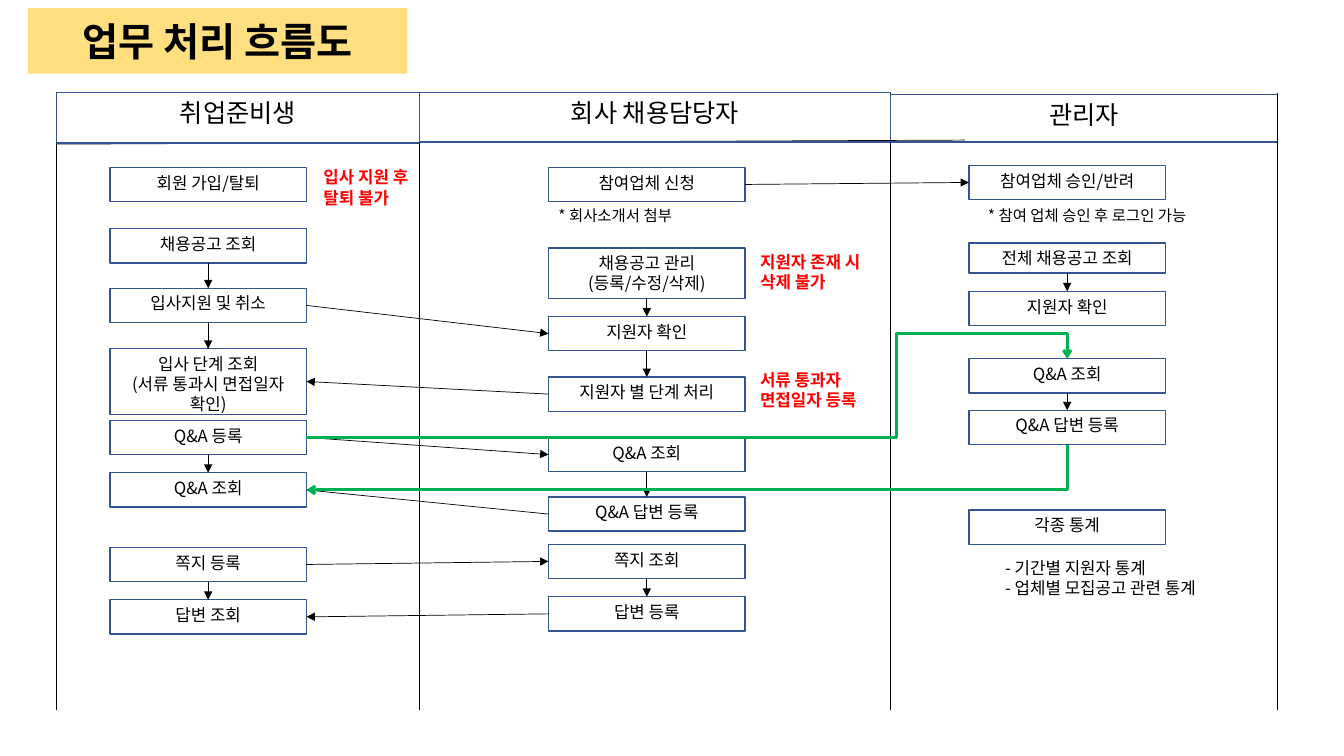
from pptx import Presentation
from pptx.dml.color import RGBColor
from pptx.enum.shapes import MSO_CONNECTOR, MSO_SHAPE
from pptx.enum.text import MSO_ANCHOR, MSO_AUTO_SIZE, PP_ALIGN
from pptx.oxml import parse_xml
from pptx.oxml.ns import nsdecls, qn
from pptx.util import Inches, Pt

RECT = MSO_SHAPE.RECTANGLE
STRAIGHT, ELBOW = MSO_CONNECTOR.STRAIGHT, MSO_CONNECTOR.ELBOW
CENTER, LEFT = PP_ALIGN.CENTER, PP_ALIGN.LEFT
TOP, MIDDLE = MSO_ANCHOR.TOP, MSO_ANCHOR.MIDDLE
FIT, NO_FIT = MSO_AUTO_SIZE.SHAPE_TO_FIT_TEXT, MSO_AUTO_SIZE.NONE
SITE_TOP, SITE_LEFT, SITE_BOTTOM, SITE_RIGHT = range(4)

FONT = "Noto Sans CJK KR"
BLACK, RED, BLUE, GREEN, AMBER = "000000", "FF0000", "325491", "00B050", "FFC000"
STEP_W, STEP_H = 1.95, 0.34
LANE_TOP, LANE_BOTTOM = 0.92, 7.04

WARNING = {"size": Pt(12), "bold": True, "color": RED, "wrap": False}
REMARK = {"size": Pt(11), "bold": False, "color": BLACK, "wrap": True}
LISTING = {**REMARK, "size": Pt(12)}

# Lane: left, width, heading top and height, indent of the steps
# Step: key -> (offset from lane top, height, text)
# Note: (offset from lane left, offset from lane top, width, height, text, style)
LANES = [
    {"left": 0.56, "width": 3.6, "head": (0.92, 0.5), "title": "취업준비생", "indent": 0.53,
     "steps": {
         "join": (0.74, STEP_H, "회원 가입/탈퇴"),
         "browse": (1.35, STEP_H, "채용공고 조회"),
         "apply": (1.94, STEP_H, "입사지원 및 취소"),
         "progress": (2.54, 0.65, "입사 단계 조회\n(서류 통과시 면접일자 확인)"),
         "ask": (3.25, STEP_H, "Q&A 등록"),
         "read answer": (3.77, STEP_H, "Q&A 조회"),
         "send memo": (4.51, STEP_H, "쪽지 등록"),
         "read reply": (5.03, STEP_H, "답변 조회")},
     "notes": [(2.55, 0.69, 1.22, 0.5, "입사 지원 후\n탈퇴 불가", WARNING)]},
    {"left": 4.16, "width": 4.67, "head": (0.92, 0.49), "title": "회사 채용담당자", "indent": 1.28,
     "steps": {
         "request": (0.74, STEP_H, "참여업체 신청"),
         "manage": (1.54, 0.5, "채용공고 관리\n(등록/수정/삭제)"),
         "check": (2.22, STEP_H, "지원자 확인"),
         "stage": (2.82, STEP_H, "지원자 별 단계 처리"),
         "read question": (3.42, STEP_H, "Q&A 조회"),
         "answer": (4.01, STEP_H, "Q&A 답변 등록"),
         "read memo": (4.48, STEP_H, "쪽지 조회"),
         "reply": (5.0, STEP_H, "답변 등록")},
     "notes": [(1.28, 1.08, 2.57, 0.29, "* 회사소개서 첨부", REMARK),
               (3.28, 1.53, 1.39, 0.5, "지원자 존재 시\n삭제 불가", WARNING),
               (3.28, 2.7, 1.27, 0.5, "서류 통과자\n면접일자 등록", WARNING)]},
    {"left": 8.83, "width": 3.84, "head": (0.94, 0.47), "title": "관리자", "indent": 0.78,
     "steps": {
         "approve": (0.72, STEP_H, "참여업체 승인/반려"),
         "all posts": (1.49, 0.3, "전체 채용공고 조회"),
         "applicants": (1.97, STEP_H, "지원자 확인"),
         "admin question": (2.64, STEP_H, "Q&A 조회"),
         "admin answer": (3.15, STEP_H, "Q&A 답변 등록"),
         "statistics": (4.14, STEP_H, "각종 통계")},
     "notes": [(0.87, 1.08, 2.57, 0.29, "* 참여 업체 승인 후 로그인 가능", REMARK),
               (1.04, 4.56, 2.39, 0.5,
                "- 기간별 지원자 통계\n- 업체별 모집공고 관련 통계", LISTING)]},
]

DOWN_FLOWS = [("browse", "apply"), ("apply", "progress"), ("ask", "read answer"),
              ("send memo", "read reply"), ("manage", "check"), ("check", "stage"),
              ("read question", "answer"), ("read memo", "reply"),
              ("all posts", "applicants"), ("admin question", "admin answer")]
RIGHT_FLOWS = [("request", "approve"), ("apply", "check"),
               ("ask", "read question"), ("send memo", "read memo")]
LEFT_FLOWS = [("stage", "progress"), ("answer", "read answer"), ("reply", "read reply")]


def rgb(value):
    return RGBColor.from_string(value)


def write(frame, text, size, color=BLACK, bold=False, align=CENTER, anchor=TOP,
          wrap=True, fit=NO_FIT):
    frame.text = text
    frame_format = {"auto_size": fit, "word_wrap": wrap, "vertical_anchor": anchor}
    for name, value in frame_format.items():
        setattr(frame, name, value)
    for paragraph in frame.paragraphs:
        paragraph.alignment = align
        for run in paragraph.runs:
            for name, value in {"name": FONT, "size": size, "bold": bold}.items():
                setattr(run.font, name, value)
            run.font.color.rgb = rgb(color)
            run.font._element.find(qn("a:latin")).addnext(
                parse_xml(f'<a:ea {nsdecls("a")} typeface="{FONT}"/>'))


def add_box(slide, box, text, size):
    shape = slide.shapes.add_shape(RECT, *map(Inches, box))
    shape.shadow.inherit = False
    shape.fill.background()
    shape.line.color.rgb = rgb(BLUE)
    shape.line.width = Pt(1)
    write(shape.text_frame, text, size)
    return shape


def add_line(slide, ends, color=BLACK, width=0.5, head=None, kind=STRAIGHT):
    line = slide.shapes.add_connector(kind, *ends)
    line.line.color.rgb = rgb(color)
    line.line.width = Pt(width)
    if head:
        line.line._get_or_add_ln().append(
            parse_xml(f'<a:tailEnd {nsdecls("a")} type="{head}"/>'))
    line._element.spPr.append(parse_xml(f'<a:effectLst {nsdecls("a")}/>'))
    return line


def bend(line, preset, adjustments=()):
    geometry = line._element.spPr.find(qn("a:prstGeom"))
    geometry.set("prst", preset)
    guides = "".join(f'<a:gd name="adj{i}" fmla="val {value}"/>'
                     for i, value in enumerate(adjustments, 1))
    for old in list(geometry):
        geometry.remove(old)
    geometry.append(parse_xml(f'<a:avLst {nsdecls("a")}>{guides}</a:avLst>'))


def add_title(slide, box):
    title = slide.shapes.title
    for name, value in zip(("left", "top", "width", "height"), box):
        setattr(title, name, Inches(value))
    title._element.spPr.append(parse_xml(
        f'<a:prstGeom {nsdecls("a")} prst="roundRect"><a:avLst/></a:prstGeom>'))
    title.fill.solid()
    title.fill.fore_color.rgb = rgb(AMBER)
    title._element.spPr.find(".//" + qn("a:srgbClr")).append(
        parse_xml(f'<a:alpha {nsdecls("a")} val="50000"/>'))
    write(title.text_frame, "업무 처리 흐름도", Pt(28), bold=True, anchor=MIDDLE)


def add_divider(slide, x):
    add_line(slide, map(Inches, (x, LANE_TOP, x, LANE_BOTTOM)))


def add_lane(slide, lane):
    """Draws one role's column and returns its steps by key."""
    left, (head_top, head_height) = lane["left"], lane["head"]
    add_divider(slide, left)
    add_box(slide, (left, head_top, lane["width"], head_height), lane["title"], Pt(18))
    for dx, dy, width, height, text, style in lane["notes"]:
        note = slide.shapes.add_textbox(
            *map(Inches, (left + dx, LANE_TOP + dy, width, height)))
        write(note.text_frame, text, align=LEFT, fit=FIT, **style)
    return {key: add_box(slide, (left + lane["indent"], LANE_TOP + dy, STEP_W, height),
                         text, Pt(12))
            for key, (dy, height, text) in lane["steps"].items()}


def add_flows(slide, steps, flows, start_site, end_site):
    for start, end in flows:
        arrow = add_line(slide, (0, 0, 0, 0), head="triangle")
        arrow.begin_connect(steps[start], start_site)
        arrow.end_connect(steps[end], end_site)


def add_admin_loop(slide, steps):
    """Green route of a question to the administrator and of the answer back."""
    ask, question = steps["ask"], steps["admin question"]
    answer, read = steps["admin answer"], steps["read answer"]
    green = {"color": GREEN, "width": 2, "head": "arrow", "kind": ELBOW}

    outward = add_line(slide, (ask.left + ask.width, ask.top + ask.height // 2,
                               question.left + question.width // 2, question.top), **green)
    bend(outward, "bentConnector4", (77600, 132000))

    # The way back is a quarter turn of a right-then-down bend about its centre
    x1, y1 = answer.left + answer.width // 2, answer.top + answer.height
    x2, y2 = read.left + read.width, read.top + read.height // 2
    mid_x, mid_y = (x1 + x2) // 2, (y1 + y2) // 2
    half_w, half_h = (y2 - y1) // 2, (x1 - x2) // 2
    back = add_line(slide, (mid_x - half_w, mid_y - half_h,
                            mid_x + half_w, mid_y + half_h), **green)
    back._element.spPr.find(qn("a:xfrm")).set("rot", "5400000")
    bend(back, "bentConnector2")


def main():
    deck = Presentation()
    deck.slide_width, deck.slide_height = Inches(13.33), Inches(7.5)
    slide = deck.slides.add_slide(deck.slide_layouts[5])
    add_title(slide, (0.28, 0.08, 3.76, 0.65))

    # Lanes with the rule under their headings
    add_line(slide, map(Inches, (0.56, 1.43, 9.57, 1.39)))
    steps = {}
    for lane in LANES:
        steps.update(add_lane(slide, lane))
    add_divider(slide, LANES[-1]["left"] + LANES[-1]["width"])

    # Arrows between the steps
    add_flows(slide, steps, DOWN_FLOWS, SITE_BOTTOM, SITE_TOP)
    add_flows(slide, steps, RIGHT_FLOWS, SITE_RIGHT, SITE_LEFT)
    add_flows(slide, steps, LEFT_FLOWS, SITE_LEFT, SITE_RIGHT)
    add_admin_loop(slide, steps)
    deck.save("out.pptx")


if __name__ == "__main__":
    main()
